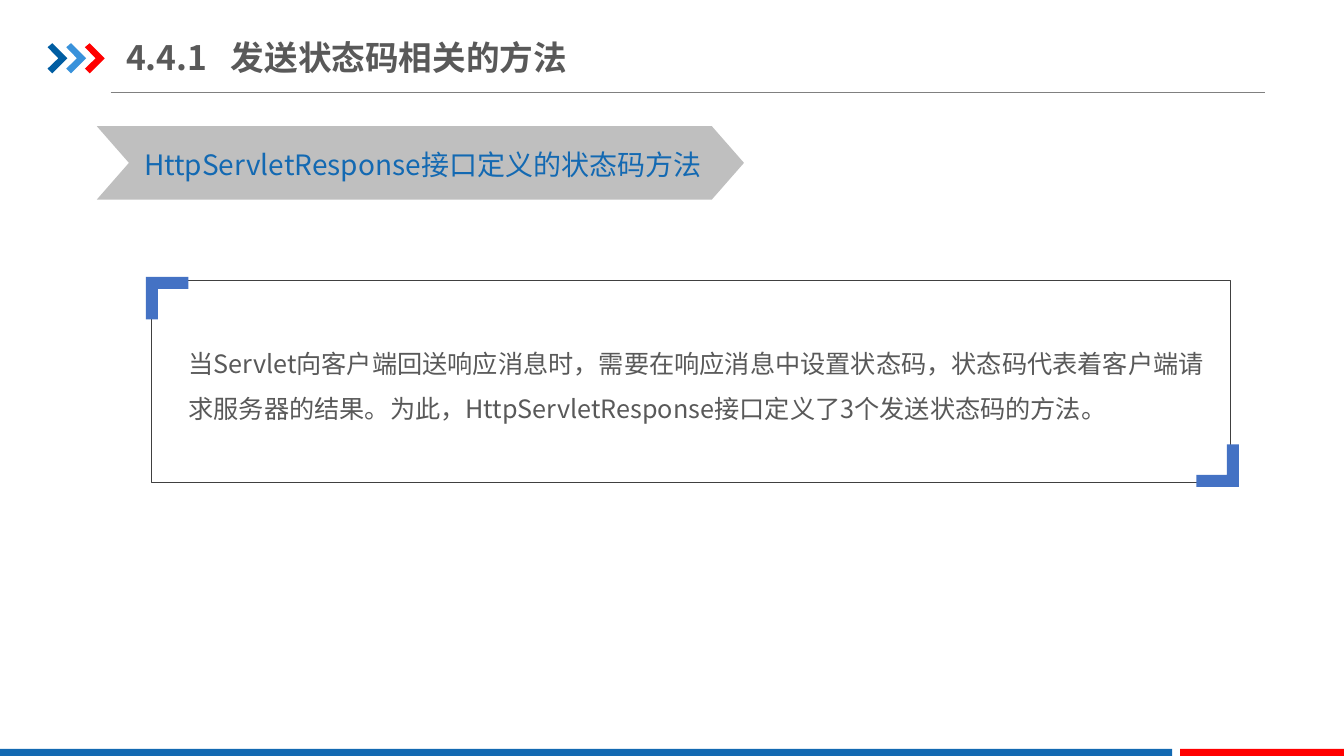
from lxml.etree import SubElement
from pptx import Presentation
from pptx.dml.color import RGBColor
from pptx.enum.shapes import MSO_CONNECTOR, MSO_SHAPE
from pptx.enum.text import MSO_ANCHOR
from pptx.oxml.ns import qn
from pptx.util import Cm, Pt

NAVY = RGBColor(0x00, 0x5D, 0xA2)
SKY = RGBColor(0x39, 0x92, 0xDB)
RED = RGBColor(0xFF, 0x00, 0x00)
BLUE = RGBColor(0x13, 0x69, 0xB2)
CORNER = RGBColor(0x44, 0x72, 0xC4)
SILVER = RGBColor(0xBF, 0xBF, 0xBF)
GRAY = RGBColor(0x80, 0x80, 0x80)
DARK = RGBColor(0x40, 0x40, 0x40)
INK = RGBColor(0x59, 0x59, 0x59)


class Painter:
    face = "Noto Sans CJK SC"

    def __init__(self, slide):
        self.shapes = slide.shapes

    def paint(self, shape, fill=None, line=None, width=0.25):
        shape.shadow.inherit = False
        if fill is None:
            shape.fill.background()
        else:
            shape.fill.solid()
            shape.fill.fore_color.rgb = fill
        if line is None:
            shape.line.fill.background()
        else:
            shape.line.color.rgb = line
            shape.line.width = Pt(width)

    def preset(self, kind, box, adjust=None, **look):
        shape = self.shapes.add_shape(kind, *map(Cm, box))
        if adjust is not None:
            shape.adjustments[0] = adjust
        self.paint(shape, **look)

    def outline(self, points, fill):
        first, *rest = [(Cm(x), Cm(y)) for x, y in points]
        builder = self.shapes.build_freeform(*first)
        builder.add_line_segments(rest, close=True)
        self.paint(builder.convert_to_shape(), fill)

    def rule(self, left, right, top, color, width):
        line = self.shapes.add_connector(
            MSO_CONNECTOR.STRAIGHT, Cm(left), Cm(top), Cm(right), Cm(top))
        line.line.color.rgb = color
        line.line.width = Pt(width)
        SubElement(line._element.spPr, qn("a:effectLst"))

    def text(self, words, box, size, color, bold=False, wrap=True,
             inset=0.25, anchor=MSO_ANCHOR.TOP, spacing=None, tab=None):
        frame = self.shapes.add_textbox(*map(Cm, box)).text_frame
        frame.word_wrap = wrap
        frame.vertical_anchor = anchor
        frame.margin_left = frame.margin_right = Cm(inset)
        para = frame.paragraphs[0]
        para.text = words
        if spacing:
            para.line_spacing = spacing
        props = para._p.get_or_add_pPr()
        if tab:
            stops = SubElement(props, qn("a:tabLst"))
            SubElement(stops, qn("a:tab"), pos=str(Cm(tab)), algn="l")
        font = para.font
        font.size, font.bold, font.name = Pt(size), bold, self.face
        font.color.rgb = color
        SubElement(props.find(qn("a:defRPr")), qn("a:ea"), typeface=self.face)


def main():
    deck = Presentation()
    deck.slide_width, deck.slide_height = Cm(33.87), Cm(19.05)
    pen = Painter(deck.slides.add_slide(deck.slide_layouts[6]))

    pen.rule(2.79, 31.88, 2.33, GRAY, 0.5)
    arrow = [(0, 0.1), (0.12, 0), (0.5, 0.38), (0.12, 0.76), (0, 0.64), (0.27, 0.38)]
    for i, color in enumerate((NAVY, SKY, RED)):
        pen.outline([(1.2 + 0.47 * i + x, 1.09 + y) for x, y in arrow], color)
    for left, width, color in ((0, 29.54, BLUE), (29.74, 4.13, RED)):
        pen.preset(MSO_SHAPE.RECTANGLE, (left, 18.87, width, 0.18), fill=color)

    pen.text("4.4.1\t发送状态码相关的方法", (3.18, 0.74, 12.42, 1.4), 24, INK,
             bold=True, inset=0, anchor=MSO_ANCHOR.MIDDLE, tab=2.64)
    pen.preset(MSO_SHAPE.CHEVRON, (2.44, 3.18, 16.31, 1.85), 0.438, fill=SILVER)
    pen.text("HttpServletResponse接口定义的状态码方法", (3.38, 3.58, 14.78, 1.12),
             20, BLUE, wrap=False)
    pen.text("当Servlet向客户端回送响应消息时，需要在响应消息中设置状态码，"
             "状态码代表着客户端请求服务器的结果。为此，"
             "HttpServletResponse接口定义了3个发送状态码的方法。",
             (4.5, 8.26, 26.16, 2.67), 18, INK, spacing=1.5)

    pen.preset(MSO_SHAPE.ROUNDED_RECTANGLE, (3.81, 7.06, 27.2, 5.1), 0, line=DARK)
    angle = [(0, 0), (1.07, 0), (1.07, 0.3), (0.3, 0.3), (0.3, 1.07), (0, 1.07)]
    for left, top, sign in ((3.68, 6.98, 1), (31.22, 12.27, -1)):
        pen.outline([(left + sign * x, top + sign * y) for x, y in angle], CORNER)

    deck.save("out.pptx")


if __name__ == "__main__":
    main()
